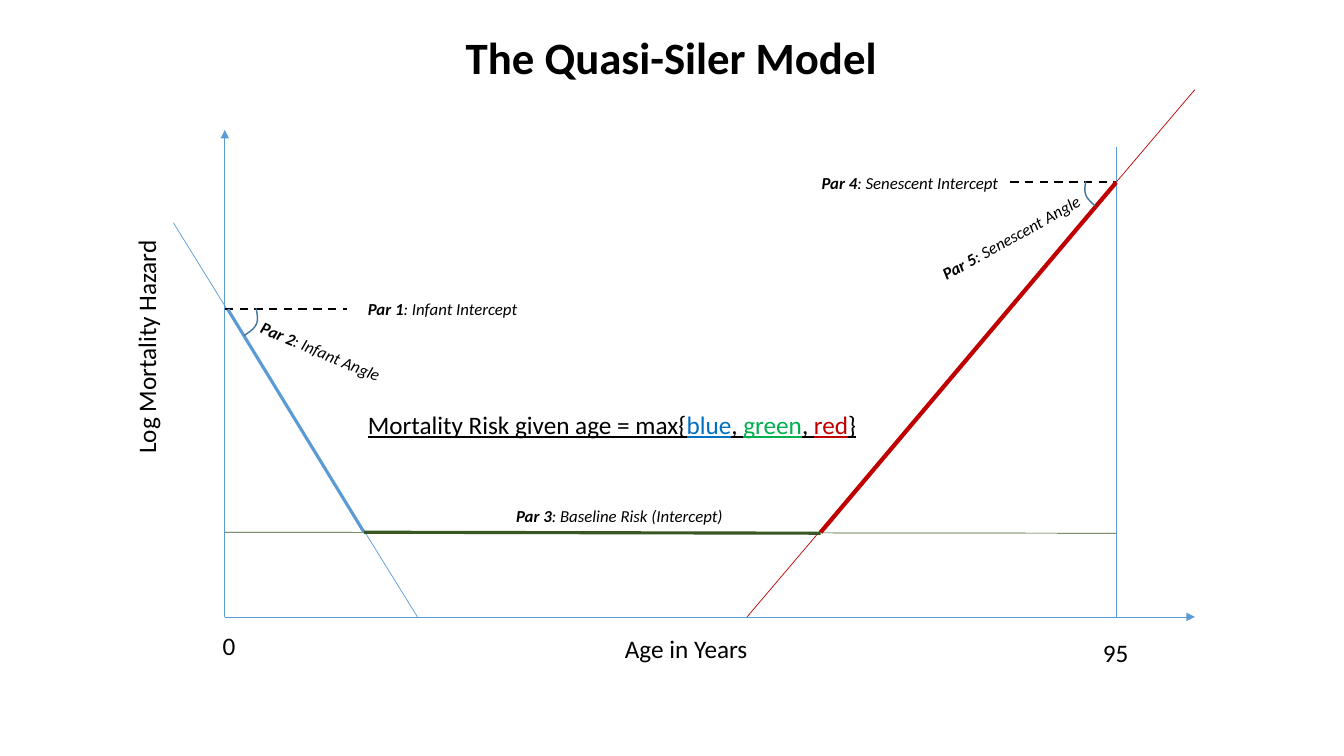
import pptx
import pptx.util
import pptx.dml.color
import pptx.enum.dml
import pptx.enum.shapes
import pptx.enum.text
import pptx.oxml.ns
from lxml import etree

RGB = pptx.dml.color.RGBColor
BLACK = RGB(0x00, 0x00, 0x00)
AXIS_BLUE = RGB(0x5B, 0x9B, 0xD5)
ARC_BLUE = RGB(0x43, 0x73, 0x9E)
BASE_GREEN = RGB(0x38, 0x57, 0x23)
RED = RGB(0xC0, 0x00, 0x00)
WORD_BLUE = RGB(0x00, 0x70, 0xC0)
WORD_GREEN = RGB(0x00, 0xB0, 0x50)

# The slide is a grid of square cells
COLS, ROWS = 13.33, 7.5
CELL = pptx.util.Inches(1)


def grid(cells):
    return round(cells * CELL)


def add_line(s, start, end, color, width=0.5, dashed=False, arrow=False):
    c = s.shapes.add_connector(
        pptx.enum.shapes.MSO_CONNECTOR.STRAIGHT, *map(grid, (*start, *end)))
    c.line.color.rgb = color
    c.line.width = pptx.util.Pt(width)
    if dashed:
        c.line.dash_style = pptx.enum.dml.MSO_LINE.DASH
    if arrow:
        tail = etree.SubElement(c.line._get_or_add_ln(), pptx.oxml.ns.qn("a:tailEnd"))
        tail.set("type", "triangle")
    etree.SubElement(c._element.spPr, pptx.oxml.ns.qn("a:effectLst"))


def add_text(s, box, runs, size, rotation=0, wrap=False):
    """Runs are (text, font settings) pairs."""
    tb = s.shapes.add_textbox(*map(grid, box))
    tb.rotation = rotation
    tf = tb.text_frame
    tf.word_wrap = wrap
    tf.auto_size = pptx.enum.text.MSO_AUTO_SIZE.SHAPE_TO_FIT_TEXT
    p = tf.paragraphs[0]
    p.font.name = "Calibri"
    p.font.size = pptx.util.Pt(size)
    for text, style in runs:
        r = p.add_run()
        r.text = text
        r.font.color.rgb = style.get("color", BLACK)
        for name in ("bold", "italic", "underline"):
            if name in style:
                setattr(r.font, name, style[name])
    return p


def add_arc(s, *controls):
    """Trace a cubic curve through short segments."""
    steps = 16
    points = []
    for i in range(steps + 1):
        t = i / steps
        weights = ((1 - t) ** 3, 3 * t * (1 - t) ** 2, 3 * t * t * (1 - t), t ** 3)
        points.append(tuple(grid(sum(w * c[k] for w, c in zip(weights, controls)))
                            for k in (0, 1)))
    fb = s.shapes.build_freeform(*points[0])
    fb.add_line_segments(points[1:], close=False)
    sp = fb.convert_to_shape()
    sp.shadow.inherit = False
    sp.fill.background()
    sp.line.color.rgb = ARC_BLUE
    sp.line.width = pptx.util.Pt(1)


def add_title(s, box):
    p = add_text(s, box, [("The Quasi-Siler Model", {"bold": True})], 32, wrap=True)
    p.alignment = pptx.enum.text.PP_ALIGN.CENTER


def add_plot(s, box):
    left, top, width, height = box

    def at(x, y):
        """Point x cells right of age 0 and y cells above the age axis."""
        return left + x, top + height - y

    # Levels and ages where the three hazards meet
    infant, base, senescent = 3.05, 0.84, 4.31
    infant_end, senescent_start = 1.38, 5.91

    # Axes and the thin full-length hazards
    axis_end = width + 0.78
    add_line(s, at(0, 0), at(axis_end, 0), AXIS_BLUE, arrow=True)
    add_line(s, at(0, 0), at(0, height), AXIS_BLUE, arrow=True)
    add_line(s, at(width, 0), at(width, 4.66), AXIS_BLUE)
    add_line(s, at(-0.51, 3.91), at(1.91, 0), AXIS_BLUE)
    add_line(s, at(0, base), at(width, base - 0.01), BASE_GREEN)
    add_line(s, at(5.18, 0), at(axis_end, 5.23), RED)

    # Dashed intercept levels
    add_line(s, at(0, infant), at(1.21, infant), BLACK, 1.5, dashed=True)
    add_line(s, at(width - 1.05, senescent), at(width, senescent), BLACK, 1.5, dashed=True)

    # Thick parts that form the maximum
    add_line(s, at(0.03, infant), at(infant_end, base), AXIS_BLUE, 2.25)
    add_line(s, at(infant_end, base), at(senescent_start, base - 0.01), BASE_GREEN, 2.25)
    add_line(s, at(senescent_start, base), at(width, senescent), RED, 3)

    # Angle arcs
    add_arc(s, at(8.54, 4.32), at(8.52, 4.22), at(8.52, 4.17), at(8.63, 4.08))
    add_arc(s, at(0.31, 3.06), at(0.34, 2.92), at(0.33, 2.88), at(0.19, 2.79))

    # Axis labels: left, top above axis, width, rotation
    for text, x, y, w, rotation in (
            ("Log Mortality Hazard", -1.95, 2.89, 2.34, 270),
            ("0", -0.12, -0.08, 0.33, 0),
            ("95", 8.61, -0.15, 0.46, 0),
            ("Age in Years", 3.87, -0.11, 1.43, 0)):
        add_text(s, (*at(x, y), w, 0.4), [(text, {})], 18, rotation)

    # Parameter labels, numbered in order
    for n, (text, x, y, w, rotation) in enumerate((
            ("Infant Intercept", 1.32, 3.21, 1.7, 0),
            ("Infant Angle", 0.22, 2.78, 1.48, 22.7),
            ("Baseline Risk (Intercept)", 2.79, 1.15, 2.27, 0),
            ("Senescent Intercept", 5.82, 4.46, 1.97, 0),
            ("Senescent Angle", 6.93, 3.92, 1.75, 330.9)), 1):
        add_text(s, (*at(x, y), w, 0.3),
                 [(f"Par {n}", {"bold": True, "italic": True}),
                  (f": {text}", {"italic": True})], 12, rotation)

    # Rule for the overall risk
    words = (("Mortality Risk given age = max{", BLACK), ("blue", WORD_BLUE), (", ", BLACK),
             ("green", WORD_GREEN), (", ", BLACK), ("red", RED), ("}", BLACK))
    add_text(s, (*at(1.32, 2.11), 5.1, 0.4),
             [(text, {"color": color, "underline": True}) for text, color in words], 18)


def main():
    prs = pptx.Presentation()
    prs.slide_width, prs.slide_height = grid(COLS), grid(ROWS)
    s = prs.slides.add_slide(prs.slide_layouts[6])
    add_plot(s, (2.23, 1.29, 8.84, 4.83))
    add_title(s, (0.14, 0.25, 13.04, 0.64))
    prs.save("out.pptx")


if __name__ == "__main__":
    main()
